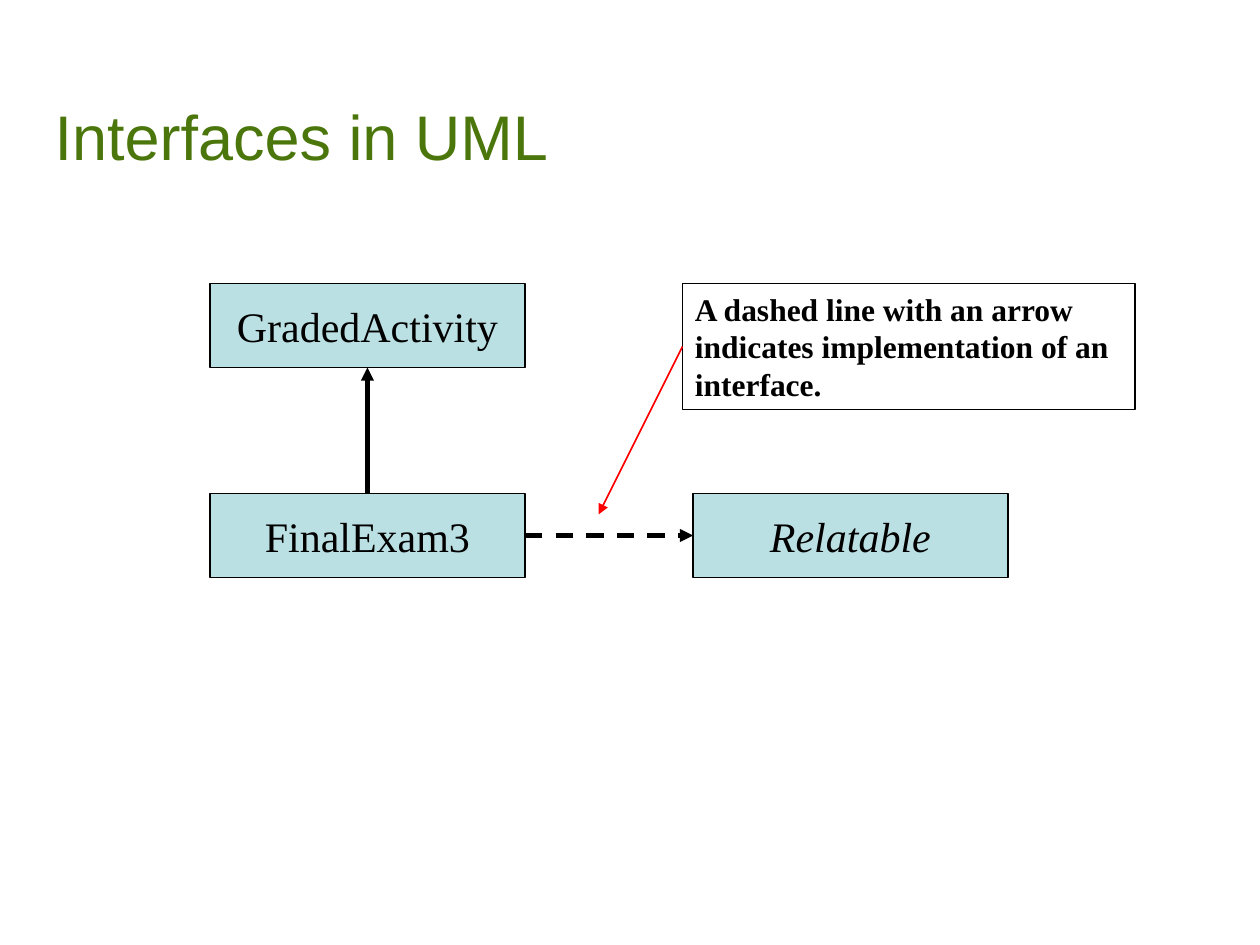
from lxml import etree
from pptx import Presentation
from pptx.dml.color import RGBColor
from pptx.enum import dml, shapes, text
from pptx.oxml import ns
from pptx.util import Pt


def color(hex_value):
    return RGBColor.from_string(hex_value)


def write(frame, words, font="Times New Roman", size=24, ink="000000", bold=False,
          italic=False, align=text.PP_ALIGN.LEFT, anchor=text.MSO_ANCHOR.TOP,
          wrap=True, fit=text.MSO_AUTO_SIZE.NONE):
    frame.auto_size = fit
    frame.word_wrap = wrap
    frame.vertical_anchor = anchor
    paragraph = frame.paragraphs[0]
    paragraph.alignment = align
    run = paragraph.add_run()
    run.text = words
    run.font.name, run.font.size = font, Pt(size)
    run.font.bold, run.font.italic = bold, italic
    run.font.color.rgb = color(ink)


class UmlSlide:
    GREEN, BLUE, BLACK, RED = "4B760B", "BBE0E3", "000000", "FF0000"
    CLASS_WIDTH, CLASS_HEIGHT = 180, 48

    def __init__(self, deck):
        self.slide = deck.slides.add_slide(deck.slide_layouts[5])

    def title(self, words, left, top, width, height):
        heading = self.slide.shapes.title
        heading.left, heading.top = Pt(left), Pt(top)
        heading.width, heading.height = Pt(width), Pt(height)
        write(heading.text_frame, words, font="Arial", size=36, ink=self.GREEN,
              anchor=text.MSO_ANCHOR.BOTTOM)

    def box(self, left, top, width, height, fill=None, border=0.75):
        rect = self.slide.shapes.add_shape(
            shapes.MSO_SHAPE.RECTANGLE, Pt(left), Pt(top), Pt(width), Pt(height))
        rect.shadow.inherit = False
        if fill:
            rect.fill.solid()
            rect.fill.fore_color.rgb = color(fill)
        else:
            rect.fill.background()
        rect.line.color.rgb = color(self.BLACK)
        rect.line.width = Pt(border)
        return rect

    def uml_class(self, name, left, top, italic=False):
        rect = self.box(left, top, self.CLASS_WIDTH, self.CLASS_HEIGHT, self.BLUE)
        write(rect.text_frame, name, italic=italic, align=text.PP_ALIGN.CENTER,
              anchor=text.MSO_ANCHOR.MIDDLE, wrap=False)
        return rect

    def note(self, words, left, top, width, height):
        rect = self.box(left, top, width, height, border=1)
        write(rect.text_frame, words, size=18, bold=True,
              fit=text.MSO_AUTO_SIZE.SHAPE_TO_FIT_TEXT)
        return rect

    def arrow(self, source, target=None, point=(0, 0), ink=BLACK, weight=2.5, dashed=False):
        """Join (shape, side) to another (shape, side), or to a free point."""
        x, y = (Pt(value) for value in point)
        line = self.slide.shapes.add_connector(shapes.MSO_CONNECTOR.STRAIGHT, x, y, x, y)
        line.begin_connect(*source)
        if target:
            line.end_connect(*target)
        line.line.color.rgb = color(ink)
        line.line.width = Pt(weight)
        if dashed:
            line.line.dash_style = dml.MSO_LINE.DASH
        # Arrowhead at the end, no shadow
        etree.SubElement(line.line._get_or_add_ln(), ns.qn("a:tailEnd"), type="triangle")
        etree.SubElement(line._element.spPr, ns.qn("a:effectLst"))


def main():
    deck = Presentation()
    deck.slide_width, deck.slide_height = Pt(720), Pt(540)
    uml = UmlSlide(deck)
    uml.title("Interfaces in UML", 24, 24, 678, 78.5)

    # Classes and the interface
    left_column, right_column = 120, 396
    upper_row, lower_row = 162, 282
    graded_activity = uml.uml_class("GradedActivity", left_column, upper_row)
    relatable = uml.uml_class("Relatable", right_column, lower_row, italic=True)
    final_exam = uml.uml_class("FinalExam3", left_column, lower_row)

    # Inheritance and implementation
    uml.arrow((final_exam, 0), (graded_activity, 2))
    uml.arrow((final_exam, 3), (relatable, 1), dashed=True)

    # Explanation pointing at the dashed line
    explanation = uml.note(
        "A dashed line with an arrow indicates implementation of an interface.",
        390, upper_row, 258.5, 72)
    uml.arrow((explanation, 1), point=(342, 294), ink=uml.RED, weight=1)

    deck.save("out.pptx")


if __name__ == "__main__":
    main()
